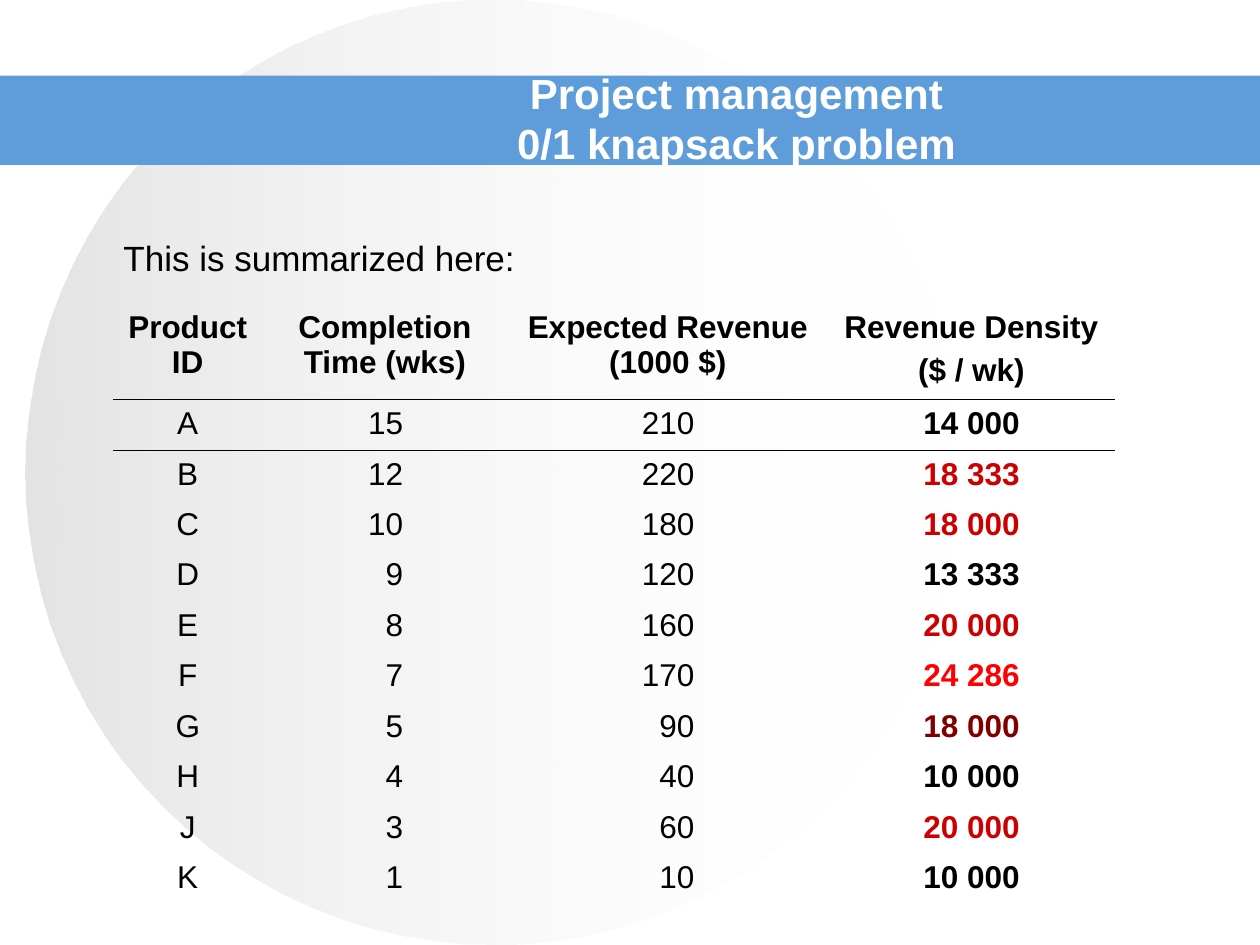
from lxml import etree
from pptx import Presentation
from pptx.dml.color import RGBColor
from pptx.enum.shapes import MSO_SHAPE
from pptx.enum.text import MSO_ANCHOR, PP_ALIGN
from pptx.oxml import parse_xml
from pptx.oxml.ns import nsdecls, qn
from pptx.util import Inches, Pt

CENTER, RIGHT = PP_ALIGN.CENTER, PP_ALIGN.RIGHT
OVAL, RECT = MSO_SHAPE.OVAL, MSO_SHAPE.RECTANGLE
FONT = "Arial"
BLACK, WHITE, BLUE, GREY = "000000", "FFFFFF", "5E9CDA", "C0C0C0"
DARK, RED, MAROON = "CC0000", "FF0000", "800000"
NO_STYLE = "{2D5ABB26-0587-4C30-8999-92F81FD0307C}"

# Content
TITLE = "Project management\v0/1 knapsack problem"
INTRO = "This is summarized here:"
HEADERS = ["Product ID", "Completion Time (wks)",
           "Expected Revenue (1000 $)", "Revenue Density\n($ / wk)"]
# product, weeks, revenue, density, density colour
PRODUCTS = [
    ("A", "15", "210", "14 000", BLACK),
    ("B", "12", "220", "18 333", DARK),
    ("C", "10", "180", "18 000", DARK),
    ("D", "9", "120", "13 333", BLACK),
    ("E", "8", "160", "20 000", DARK),
    ("F", "7", "170", "24 286", RED),
    ("G", "5", "90", "18 000", MAROON),
    ("H", "4", "40", "10 000", BLACK),
    ("J", "3", "60", "20 000", DARK),
    ("K", "1", "10", "10 000", BLACK),
]
COL_WIDTHS = [1.18, 1.95, 2.54, 2.28]
HEADER_H, ROW_H = 0.76, 0.4
NUMBER_MARGINS = {1: 0.83, 2: 1.06}  # right margins of the number columns


def rgb(color):
    return RGBColor.from_string(color)


def box(left, top, width, height):
    return [Inches(v) for v in (left, top, width, height)]


def write(tf, text, size, color, bold=False, align=None):
    tf.text = text
    for i, p in enumerate(tf.paragraphs):
        p.alignment = align
        p.space_before = Pt(4.5 if i else 0)
        for r in p.runs:
            r.font.name, r.font.size, r.font.bold = FONT, Pt(size), bold
            r.font.color.rgb = rgb(color)


def add_plain(s, kind, place):
    sp = s.shapes.add_shape(kind, *box(*place))
    sp.shadow.inherit = False
    sp.line.fill.background()
    return sp


def set_alpha(fill, percents):
    colors = fill.iter(qn("a:srgbClr"))
    for color, percent in zip(colors, percents):
        etree.SubElement(color, qn("a:alpha"), val=str(percent * 1000))


def add_rule(cell, side):
    cell._tc.get_or_add_tcPr().insert(0, parse_xml(
        f'<a:{side} {nsdecls("a")} w="{Pt(0.45)}"><a:solidFill>'
        f'<a:srgbClr val="{BLACK}"/></a:solidFill></a:{side}>'))


prs = Presentation()
prs.slide_width, prs.slide_height = Inches(10), Inches(7.5)
s = prs.slides.add_slide(prs.slide_layouts[5])

# Background disc and title band
disc = add_plain(s, OVAL, (0.2, 0, 7.44, 7.5))
disc.fill.gradient()
disc.fill.gradient_angle = 0
for stop, color, position in zip(disc.fill.gradient_stops, (GREY, WHITE), (0, 1)):
    stop.color.rgb = rgb(color)
    stop.position = position
set_alpha(disc._element.spPr, (44, 0))

band = add_plain(s, RECT, (0, 0.6, 10, 0.71))
band.fill.solid()
band.fill.fore_color.rgb = rgb(BLUE)

# Title, brought in front of the band
title = s.shapes.title
title.left, title.top, title.width, title.height = box(1.72, 0.67, 8.25, 0.53)
title.text_frame.vertical_anchor = MSO_ANCHOR.MIDDLE
write(title.text_frame, TITLE, 24, WHITE, True, CENTER)
s.shapes._spTree.append(title._element)

# Introduction
intro = s.shapes.add_textbox(*box(0.5, 1.83, 9.04, 0.5))
intro.text_frame.word_wrap = True
intro.text_frame.margin_left = Inches(0.48)
write(intro.text_frame, INTRO, 20, BLACK)

# Product table
height = HEADER_H + ROW_H * len(PRODUCTS)
table = s.shapes.add_table(len(PRODUCTS) + 1, len(HEADERS),
                           *box(0.9, 2.41, sum(COL_WIDTHS), height)).table
table._tbl.tblPr.find(qn("a:tableStyleId")).text = NO_STYLE
table.horz_banding = False
for col, width in zip(table.columns, COL_WIDTHS):
    col.width = Inches(width)
for i, row in enumerate(table.rows):
    row.height = Inches(ROW_H if i else HEADER_H)

for c, header in enumerate(HEADERS):
    write(table.cell(0, c).text_frame, header, 18, BLACK, True, CENTER)
    add_rule(table.cell(0, c), "lnB")
    add_rule(table.cell(1, c), "lnT")

last = len(HEADERS) - 1
for i, (*values, density_color) in enumerate(PRODUCTS, 1):
    for c, value in enumerate(values):
        cell = table.cell(i, c)
        color = density_color if c == last else BLACK
        align = RIGHT if c in NUMBER_MARGINS else CENTER
        write(cell.text_frame, value, 18, color, c == last, align)
        if c in NUMBER_MARGINS:
            cell.margin_right = Inches(NUMBER_MARGINS[c])

for cell in table.iter_cells():
    cell.fill.background()

prs.save("out.pptx")
